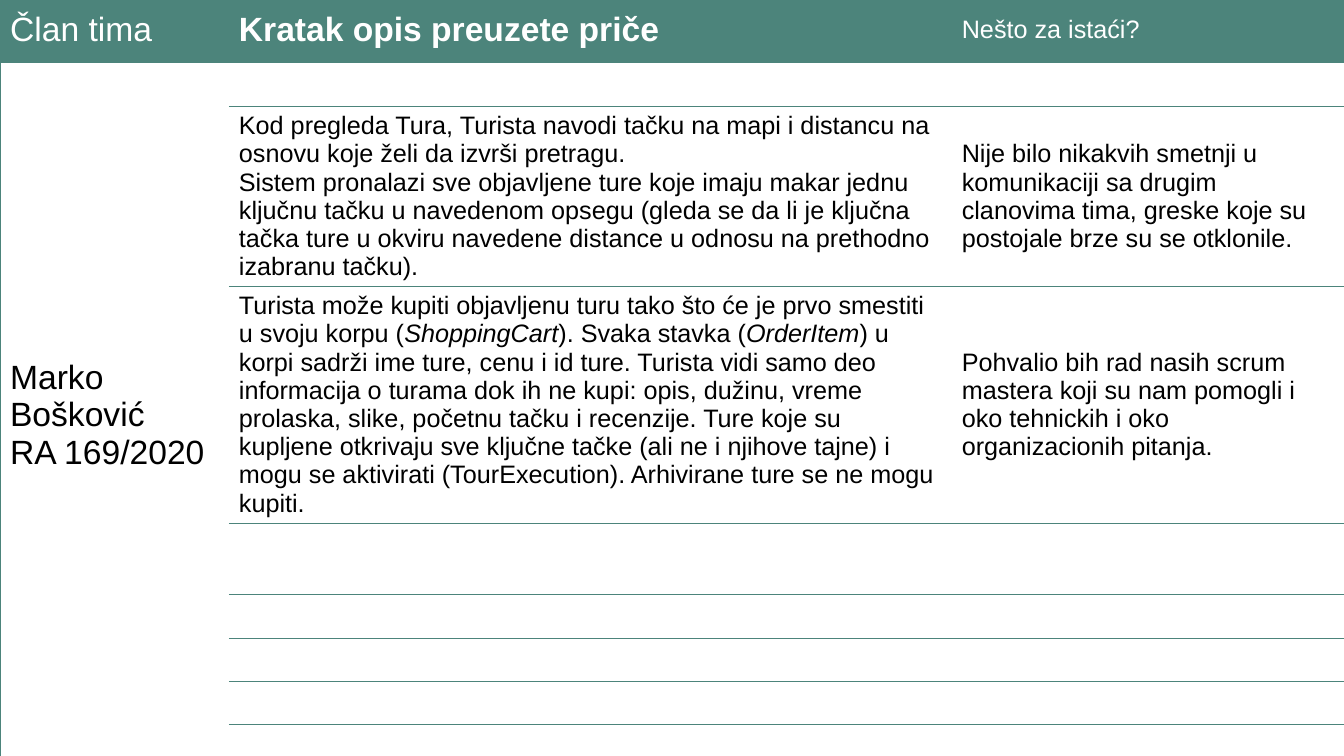
from lxml import etree
from pptx import Presentation
from pptx import util as u
from pptx.dml.color import RGBColor
from pptx.enum import text
from pptx.oxml import ns

COLORS = {"teal": "4C847B", "white": "FFFFFF", "black": "000000"}
FONT = "Arial"
NO_GRID_STYLE = "{2D5ABB26-0587-4C30-8999-92F81FD0307C}"
COLUMNS = [2.27, 7.17, 3.9]
ROWS = [0.65, 0.44, 1.78, 2.35, 0.71] + [0.43] * 4

HEADER = [("Član tima", 24, False), ("Kratak opis preuzete priče", 24, True), ("Nešto za istaći?", 18, False)]
MEMBER = [["Marko Bošković"], ["RA 169/2020"]]
STORIES = {
    2: (
        [
            ["Kod pregleda Tura, Turista navodi tačku na mapi i distancu na osnovu koje želi da izvrši pretragu."],
            ["Sistem pronalazi sve objavljene ture koje imaju makar jednu ključnu tačku u navedenom opsegu "
             "(gleda se da li je ključna tačka ture u okviru navedene distance u odnosu na prethodno "
             "izabranu tačku)."],
        ],
        [["Nije bilo nikakvih smetnji u komunikaciji sa drugim clanovima tima, greske koje su postojale "
          "brze su se otklonile."]],
    ),
    3: (
        [["Turista može kupiti objavljenu turu tako što će je prvo smestiti u svoju korpu (",
          "ShoppingCart", "). Svaka stavka (", "OrderItem",
          ") u korpi sadrži ime ture, cenu i id ture. Turista vidi samo deo informacija o turama dok ih "
          "ne kupi: opis, dužinu, vreme prolaska, slike, početnu tačku i recenzije. Ture koje su kupljene "
          "otkrivaju sve ključne tačke (ali ne i njihove tajne) i mogu se aktivirati (TourExecution). "
          "Arhivirane ture se ne mogu kupiti."]],
        [["Pohvalio bih rad nasih scrum mastera koji su nam pomogli i oko tehnickih i oko "
          "organizacionih pitanja."]],
    ),
}
ITALIC_TERMS = {"ShoppingCart", "OrderItem"}


def write_cell(cell, paragraphs, size, color="black", bold=False):
    """Write paragraphs, each a list of runs, into a vertically centred cell."""
    cell.vertical_anchor = text.MSO_ANCHOR.MIDDLE
    frame = cell.text_frame
    for index, runs in enumerate(paragraphs):
        paragraph = frame.paragraphs[0] if index == 0 else frame.add_paragraph()
        for words in runs:
            run = paragraph.add_run()
            run.text = words
            run.font.name = FONT
            run.font.size = u.Pt(size)
            run.font.bold = bold
            run.font.italic = words in ITALIC_TERMS
            run.font.color.rgb = RGBColor.from_string(COLORS[color])


def draw_borders(cell, sides):
    """Draw thin teal lines on the given sides, a string of letters from LRTB."""
    properties = cell._tc.get_or_add_tcPr()
    for position, side in enumerate(letter for letter in "LRTB" if letter in sides):
        line = etree.Element(ns.qn(f"a:ln{side}"), w=str(u.Pt(0.75)))
        fill = etree.SubElement(line, ns.qn("a:solidFill"))
        etree.SubElement(fill, ns.qn("a:srgbClr"), val=COLORS["teal"])
        properties.insert(position, line)


def build_header(table):
    """Fill the teal heading row."""
    for cell, (title, size, bold), sides in zip(table.rows[0].cells, HEADER, ("LT", "T", "RT")):
        cell.fill.solid()
        cell.fill.fore_color.rgb = RGBColor.from_string(COLORS["teal"])
        write_cell(cell, [[title]], size, "white", bold)
        draw_borders(cell, sides)


def build_body(table):
    """Fill the member cell and the story rows, ruled above every second row."""
    last = len(ROWS) - 1
    member = table.cell(1, 0)
    member.merge(table.cell(last, 0))
    member.fill.background()
    write_cell(member, MEMBER, 24)
    draw_borders(member, "LTB")
    for row in range(1, last + 1):
        rules = ("T" if row % 2 else "") + ("B" if row == last else "")
        for column, edge in ((1, ""), (2, "R")):
            cell = table.cell(row, column)
            cell.fill.background()
            if row in STORIES:
                write_cell(cell, STORIES[row][column - 1], 18)
            draw_borders(cell, rules + edge)


def build_team_table(slide, left, top):
    """Place the team table with its top left corner at the given point."""
    frame = slide.shapes.add_table(
        len(ROWS), len(COLUMNS), u.Inches(left), u.Inches(top), u.Inches(sum(COLUMNS)), u.Inches(sum(ROWS))
    )
    table = frame.table
    table.horz_banding = False
    table._tbl.tblPr.find(ns.qn("a:tableStyleId")).text = NO_GRID_STYLE
    for column, width in zip(table.columns, COLUMNS):
        column.width = u.Inches(width)
    for row, height in zip(table.rows, ROWS):
        row.height = u.Inches(height)
    build_header(table)
    build_body(table)


def main():
    """Build and save the presentation."""
    presentation = Presentation()
    presentation.slide_width = u.Inches(13.33)
    presentation.slide_height = u.Inches(7.5)
    slide = presentation.slides.add_slide(presentation.slide_layouts[6])
    build_team_table(slide, 0, -0.03)
    presentation.save("out.pptx")


if __name__ == "__main__":
    main()
